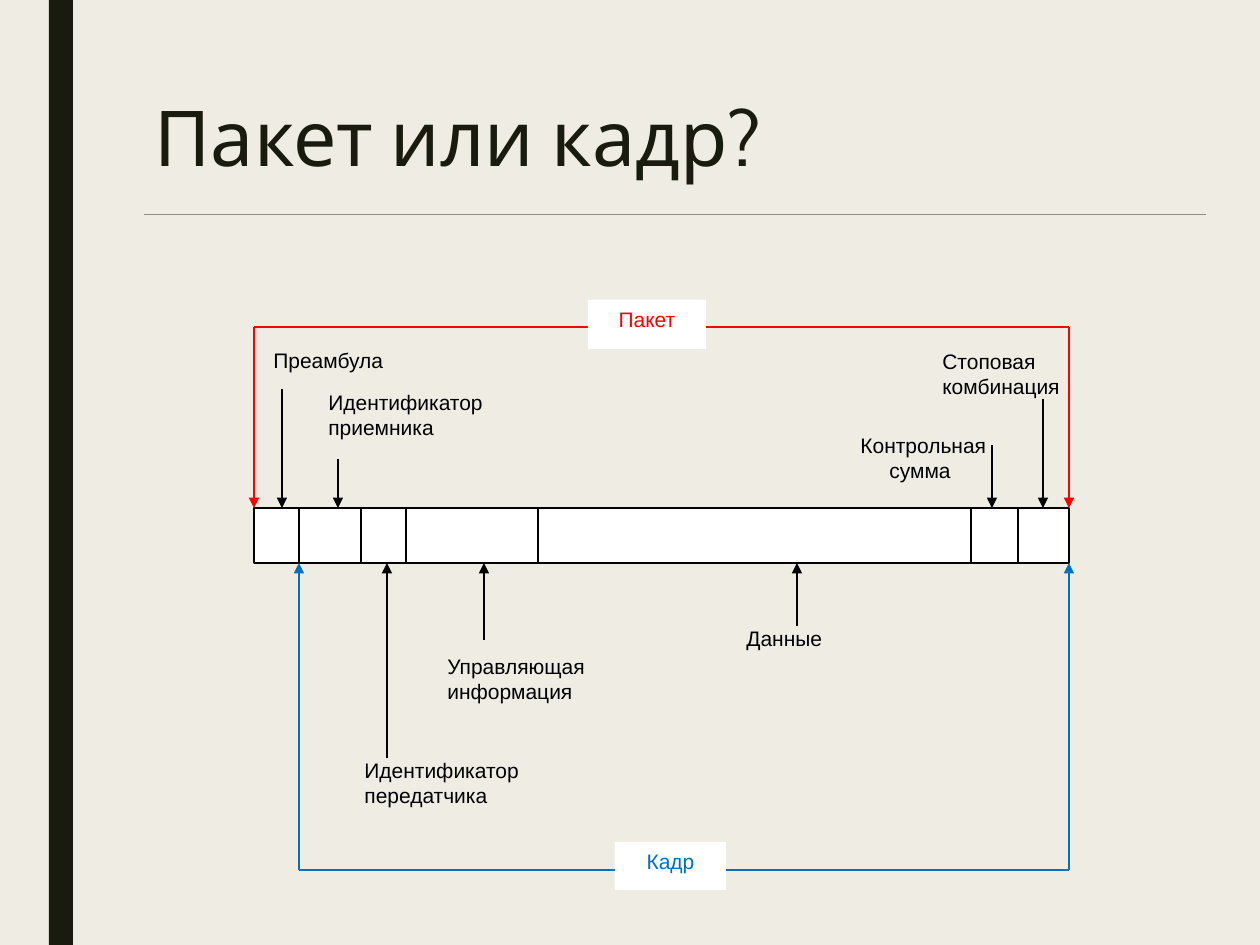
from dataclasses import dataclass

from lxml.etree import SubElement
from pptx import Presentation
from pptx.dml.color import RGBColor
from pptx.enum.shapes import MSO_CONNECTOR, MSO_SHAPE
from pptx.enum.text import MSO_ANCHOR, MSO_AUTO_SIZE, PP_ALIGN
from pptx.oxml.ns import qn
from pptx.util import Pt


@dataclass(frozen=True)
class Theme:
    paper: str = "EFEDE3"
    dark: str = "191B0E"
    rule: str = "8C8D86"
    white: str = "FFFFFF"
    black: str = "000000"
    packet: str = "FF0000"
    frame: str = "0070C0"
    title_font: str = "Cabin"
    body_font: str = "Arial"
    title_size: float = 44
    body_size: float = 12
    line: float = 0.75
    thin: float = 0.5


T = Theme()
EMU_PER_PX = 914400 / 126
WIDTH, HEIGHT = 1260, 945
TITLE = "Пакет или кадр?"
BAR_TOP, BAR_BOTTOM = 508, 563
EDGES = [254, 299, 361, 406, 538, 971, 1018, 1069]
SUM_INDENT = 29

# text lines, (left, top, width, height), (arrow x, arrow start y)
FIELDS = [
    (["Преамбула"], (261, 341, 215, 49), (282, 389)),
    (["Идентификатор приемника"], (316, 383, 266, 97), (338, 459)),
    (["Идентификатор передатчика"], (352, 751, 270, 97), (387, 758)),
    (["Управляющая информация"], (435, 647, 275, 97), (484, 640)),
    (["Данные"], (734, 619, 188, 97), (797, 626)),
    (["Контрольная", "сумма"], (848, 426, 243, 97), (992, 445)),
    (["Стоповая комбинация"], (930, 342, 163, 69), (1043, 399)),
]
BRACKETS = [
    ("Пакет", T.packet, EDGES[0], 327, BAR_TOP, (588, 300, 118, 49)),
    ("Кадр", T.frame, EDGES[1], 870, BAR_BOTTOM, (615, 842, 111, 48)),
]


def px(*values):
    return [round(v * EMU_PER_PX) for v in values]


def rgb(color):
    return RGBColor.from_string(color)


def write(sp, lines, color, align=PP_ALIGN.LEFT):
    tf = sp.text_frame
    tf.word_wrap = True
    tf.vertical_anchor = MSO_ANCHOR.TOP
    tf.text = "\n".join(lines)
    for p in tf.paragraphs:
        p.alignment = align
        p.font.name = T.body_font
        p.font.size = Pt(T.body_size)
        p.font.color.rgb = rgb(color)
    return tf


def add_rect(s, box, fill, line=None):
    sp = s.shapes.add_shape(MSO_SHAPE.RECTANGLE, *px(*box))
    sp.shadow.inherit = False
    sp.fill.solid()
    sp.fill.fore_color.rgb = rgb(fill)
    if line:
        sp.line.color.rgb = rgb(line)
        sp.line.width = Pt(T.line)
    else:
        sp.line.fill.background()
    return sp


def add_line(s, start, end, color, width=T.line, arrow=False):
    cn = s.shapes.add_connector(MSO_CONNECTOR.STRAIGHT, *px(*start, *end))
    cn.line.color.rgb = rgb(color)
    cn.line.width = Pt(width)
    if arrow:
        SubElement(cn.line._get_or_add_ln(), qn("a:tailEnd"), type="triangle")
    SubElement(cn._element.spPr, qn("a:effectLst"))


def add_title(s):
    sp = s.shapes.title
    sp.left, sp.top, sp.width, sp.height = px(142, 94, 992, 205)
    tf = sp.text_frame
    tf.text = TITLE
    tf.auto_size = MSO_AUTO_SIZE.NONE
    tf.vertical_anchor = MSO_ANCHOR.TOP
    p = tf.paragraphs[0]
    p.alignment = PP_ALIGN.LEFT
    p.line_spacing = 0.89
    p.font.name = T.title_font
    p.font.size = Pt(T.title_size)
    p.font.color.rgb = rgb(T.dark)
    add_line(s, (144, 214), (1206, 214), T.rule, T.thin)


def add_fields(s):
    left, right = EDGES[0], EDGES[-1]
    add_rect(s, (left, BAR_TOP, right - left, BAR_BOTTOM - BAR_TOP), T.white, T.black)
    for x in EDGES[1:-1]:
        add_line(s, (x, BAR_TOP), (x, BAR_BOTTOM), T.black)
    for lines, box, (x, y) in FIELDS:
        add_line(s, (x, y), (x, BAR_TOP if y < BAR_TOP else BAR_BOTTOM), T.black, arrow=True)
        tf = write(s.shapes.add_textbox(*px(*box)), lines, T.black)
        for p in tf.paragraphs[1:]:
            p._p.get_or_add_pPr().set("marL", str(px(SUM_INDENT)[0]))


def add_brackets(s):
    right = EDGES[-1]
    for name, color, left, y, bar_y, box in BRACKETS:
        add_line(s, (left, y), (right, y), color)
        for x in (left, right):
            add_line(s, (x, y), (x, bar_y), color, arrow=True)
        write(add_rect(s, box, T.white), [name], color, PP_ALIGN.CENTER)


def main():
    prs = Presentation()
    prs.slide_width, prs.slide_height = px(WIDTH, HEIGHT)
    s = prs.slides.add_slide(prs.slide_layouts[5])
    s.background.fill.solid()
    s.background.fill.fore_color.rgb = rgb(T.paper)
    add_rect(s, (49, 0, 24, HEIGHT), T.dark)
    add_title(s)
    add_fields(s)
    add_brackets(s)
    prs.save("out.pptx")


if __name__ == "__main__":
    main()
